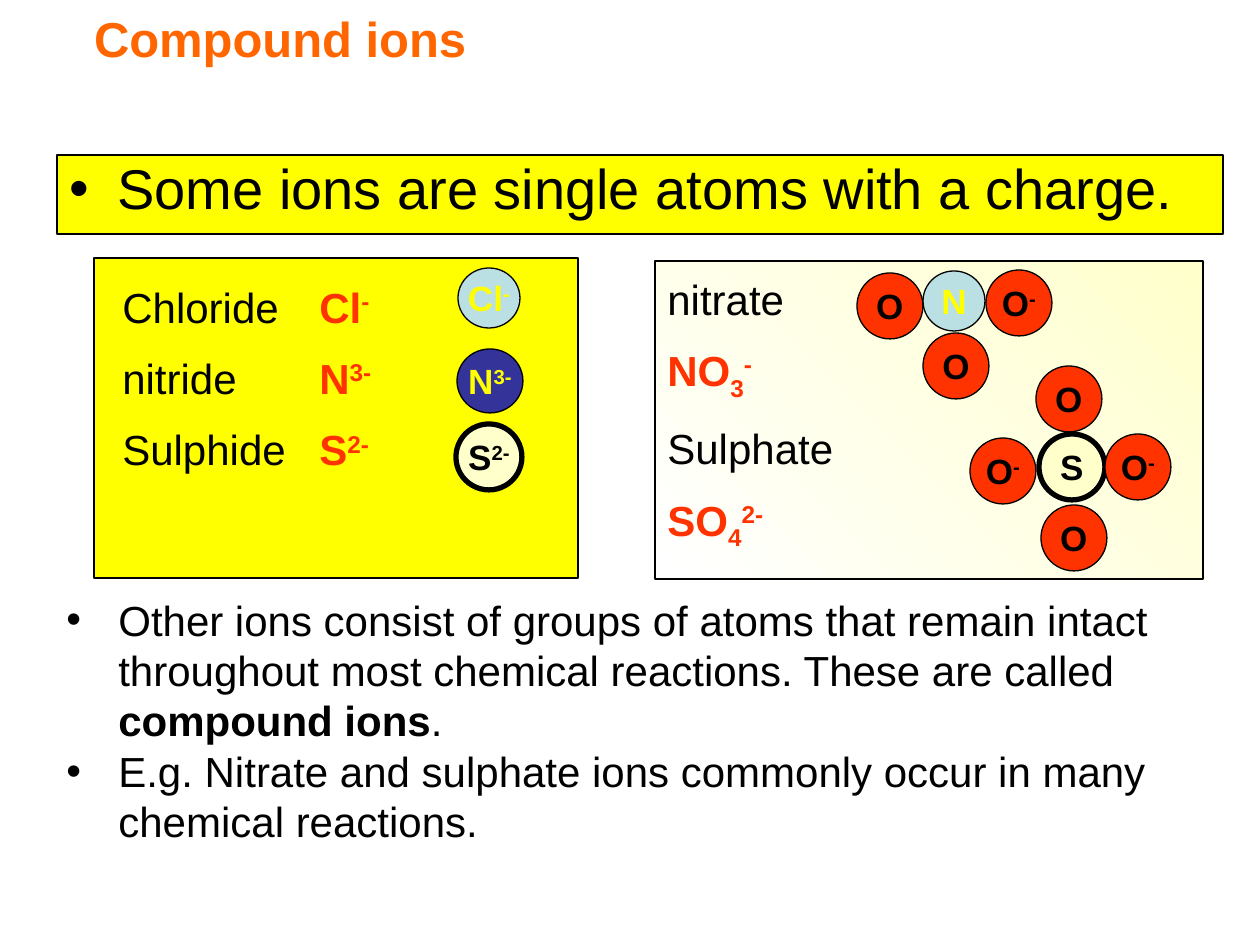
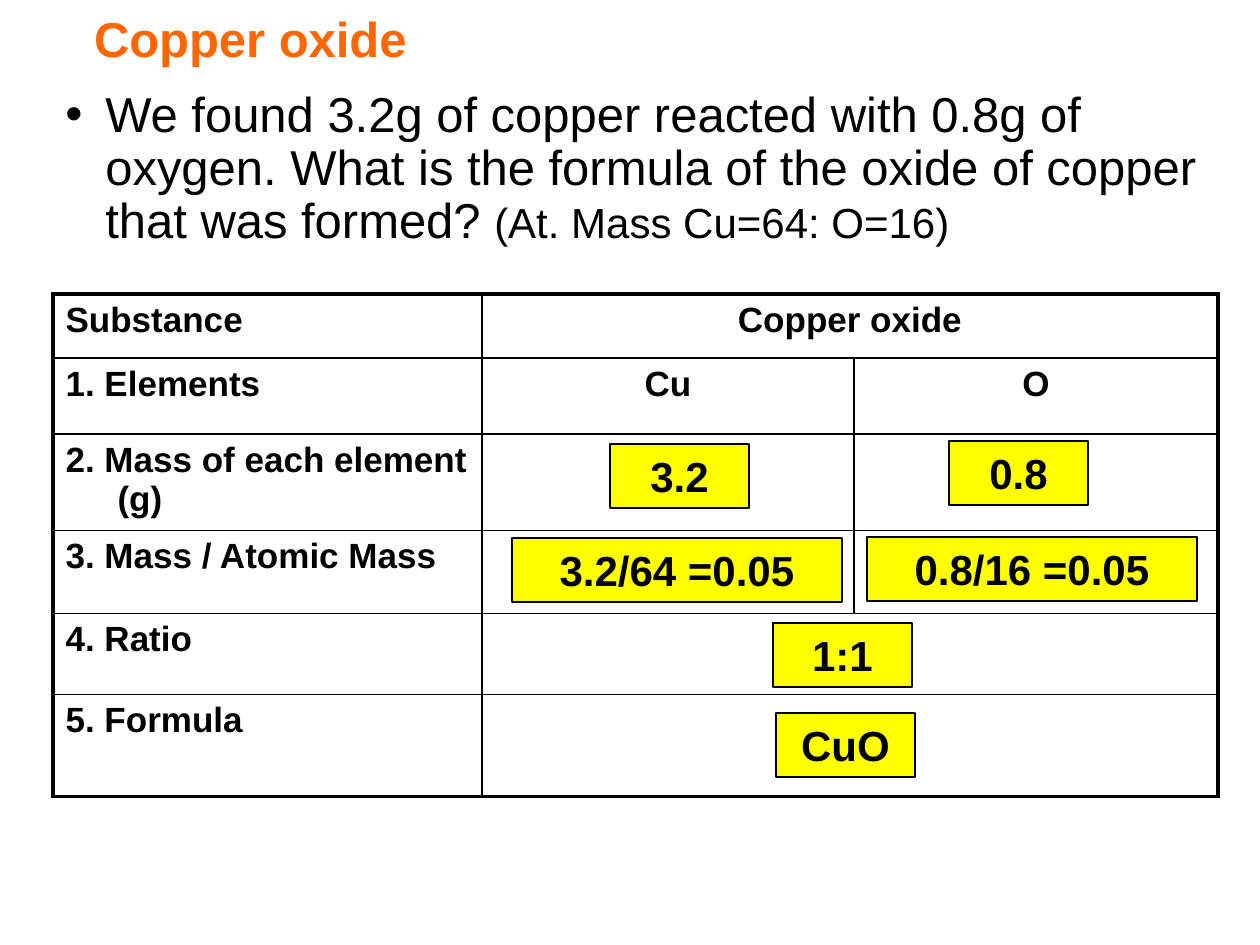
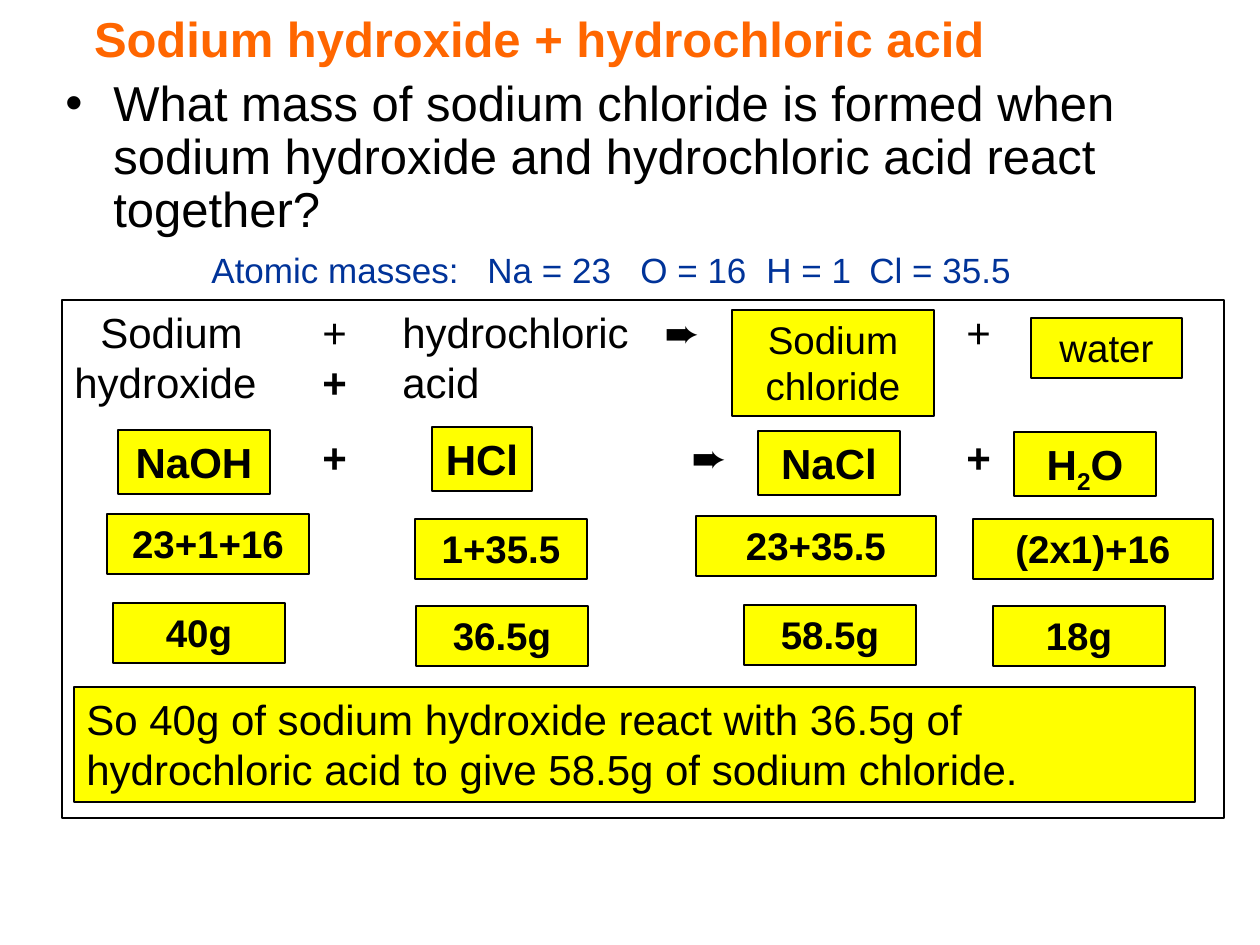
import pptx
import pptx.util
import pptx.dml.color
import pptx.enum.shapes
import pptx.enum.text
import pptx.oxml.ns
from lxml import etree

RGB = pptx.dml.color.RGBColor
BLACK = RGB(0x00, 0x00, 0x00)
WHITE = RGB(0xFF, 0xFF, 0xFF)
ORANGE = RGB(0xFF, 0x66, 0x00)
YELLOW = RGB(0xFF, 0xFF, 0x00)
CREAM = RGB(0xFF, 0xFF, 0xCC)
RED = RGB(0xFF, 0x33, 0x00)
PALE_BLUE = RGB(0xBB, 0xE0, 0xE3)
INDIGO = RGB(0x33, 0x33, 0x99)
NAVY = RGB(0x00, 0x33, 0x99)

SHAPE = pptx.enum.shapes.MSO_SHAPE
ALIGN = pptx.enum.text.PP_ALIGN
ANCHOR = pptx.enum.text.MSO_ANCHOR
Pt = pptx.util.Pt
FONT = "Arial"
PX_PER_INCH = 126
BASELINES = {"^": "30000", "_": "-25000"}
ATOM = 66


def px(n):
    """Turn pixels into EMU."""
    return round(n * 914400 / PX_PER_INCH)


def sub(parent, tag, **attrs):
    """Append a drawing element to a parent."""
    el = etree.SubElement(parent, pptx.oxml.ns.qn(tag))
    for name, value in attrs.items():
        el.set(name, str(value))
    return el


def write(p, text, size, colour=BLACK, bold=False):
    """Add text to a paragraph: ^ raises, _ lowers and | returns to the line."""
    for mark in "^_|":
        text = text.replace(mark, "~" + mark)
    for piece in filter(None, text.split("~")):
        r = p.add_run()
        r.text = piece.lstrip("^_|")
        r.font.name, r.font.size = FONT, Pt(size)
        r.font.color.rgb, r.font.bold = colour, bold
        if piece[0] in BASELINES:
            r._r.get_or_add_rPr().set("baseline", BASELINES[piece[0]])


def set_indent(p, hang):
    """Give a paragraph a hanging indent."""
    p._p.get_or_add_pPr().set("marL", str(px(hang)))
    p._p.get_or_add_pPr().set("indent", str(-px(hang)))


def set_bullet(p, hang):
    """Give a paragraph a round bullet."""
    set_indent(p, hang)
    sub(p._p.get_or_add_pPr(), "a:buFont", typeface=FONT)
    sub(p._p.get_or_add_pPr(), "a:buChar", char="•")


def set_tabs(p, stops):
    """Set left tab stops in pixels."""
    tabs = sub(p._p.get_or_add_pPr(), "a:tabLst")
    for stop in stops:
        sub(tabs, "a:tab", pos=px(stop), algn="l")


def next_paragraph(tf):
    """Return the empty first paragraph, or a new one."""
    p = tf.paragraphs[0]
    return tf.add_paragraph() if p.runs else p


def add_slide(prs, title):
    """Add a title-only slide with the orange heading."""
    s = prs.slides.add_slide(prs.slide_layouts[5])
    sp = s.shapes.title
    sp.left, sp.top, sp.width, sp.height = px(0), px(2), px(1076), px(72)
    tf = sp.text_frame
    tf.word_wrap, tf.vertical_anchor = True, ANCHOR.MIDDLE
    tf.margin_left = px(94)
    p = tf.paragraphs[0]
    p.alignment = ALIGN.LEFT
    write(p, title, 28, ORANGE, True)
    return s


def add_text(s, x, y, w, h):
    """Add a wrapping text box and return its frame."""
    tf = s.shapes.add_textbox(px(x), px(y), px(w), px(h)).text_frame
    tf.word_wrap = True
    return tf


def add_block(s, x, y, w, h, fill=YELLOW, kind=SHAPE.RECTANGLE, line=0.75):
    """Add a filled, outlined shape."""
    sp = s.shapes.add_shape(kind, px(x), px(y), px(w), px(h))
    sp.shadow.inherit = False
    sp.fill.solid()
    sp.fill.fore_color.rgb = fill
    sp.line.color.rgb, sp.line.width = BLACK, Pt(line)
    tf = sp.text_frame
    tf.word_wrap, tf.vertical_anchor = True, ANCHOR.TOP
    tf.paragraphs[0].alignment = ALIGN.LEFT
    return sp


def add_answer(s, text, x, y, w, h=64, size=24, bold=True):
    """Add a yellow box with a centred answer."""
    p = add_block(s, x, y, w, h).text_frame.paragraphs[0]
    p.alignment = ALIGN.CENTER
    write(p, text, size, BLACK, bold)


def add_atom(s, text, x, y, fill=RED, colour=BLACK, w=ATOM, h=ATOM, line=0.75):
    """Add a round atom or ion with its symbol."""
    tf = add_block(s, x, y, w, h, fill, SHAPE.OVAL, line).text_frame
    tf.word_wrap, tf.vertical_anchor = False, ANCHOR.MIDDLE
    tf.paragraphs[0].alignment = ALIGN.CENTER
    write(tf.paragraphs[0], text, 20, colour, True)


def add_question(s, y, h, hang, parts):
    """Add a bulleted question made of text and size pairs."""
    p = add_text(s, 53, y, 1164, h).paragraphs[0]
    set_bullet(p, hang)
    p.line_spacing = 0.9
    for text, size in parts:
        write(p, text, size)


def set_borders(cell, outer):
    """Draw cell borders, thick on the sides named in outer."""
    tcPr = cell._tc.get_or_add_tcPr()
    for side in "RTB" if cell.is_spanned else "LRTB":
        width = Pt(2.25 if side in outer else 1)
        ln = sub(tcPr, "a:ln" + side, w=width)
        sub(sub(ln, "a:solidFill"), "a:srgbClr", val=BLACK)
    cell.fill.solid()
    cell.fill.fore_color.rgb = WHITE


def add_formula_table(s, x, y, widths, heights, rows):
    """Add the working table; a row of two entries merges its last cells."""
    tbl = s.shapes.add_table(len(rows), len(widths), px(x), px(y),
                             px(sum(widths)), px(sum(heights))).table
    tbl.first_row = tbl.horz_banding = False
    for col, width in zip(tbl.columns, widths):
        col.width = px(width)
    last_row, last_col = len(rows) - 1, len(widths) - 1
    for i, (row, height) in enumerate(zip(rows, heights)):
        tbl.rows[i].height = px(height)
        if len(row) == 2:
            tbl.cell(i, 1).merge(tbl.cell(i, last_col))
        for j, text in enumerate(row):
            p = tbl.cell(i, j).text_frame.paragraphs[0]
            if j:
                p.alignment = ALIGN.CENTER
            else:
                set_indent(p, 52)
            write(p, text, 20, BLACK, True)
        for j in range(len(widths)):
            cell = tbl.cell(i, j)
            right = j + (cell.span_width if cell.is_merge_origin else 1) - 1
            edges = {"L": j == 0, "R": right == last_col,
                     "T": i == 0, "B": i == last_row}
            set_borders(cell, [side for side, on in edges.items() if on])


def build_ions(prs):
    """Build the slide on single and compound ions."""
    s = add_slide(prs, "Compound ions")
    p = add_block(s, 57, 155, 1166, 79).text_frame.paragraphs[0]
    set_bullet(p, 48)
    p.line_spacing = 0.9
    write(p, "Some ions are single atoms with a charge.", 32)

    tf = add_text(s, 54, 588, 1149, 265)
    for parts in (
        [("Other ions consist of groups of atoms that remain intact throughout "
          "most chemical reactions. These are called ", False),
         ("compound ions", True), (".", False)],
        [("E.g. Nitrate and sulphate ions commonly occur in many chemical "
          "reactions.", False)],
    ):
        p = next_paragraph(tf)
        set_bullet(p, 52)
        for text, bold in parts:
            write(p, text, 24, BLACK, bold)

    add_block(s, 94, 258, 484, 320)
    tf = add_text(s, 110, 275, 326, 214)
    for name, symbol in (("Chloride", "Cl^-"), ("nitride", "N^3-"),
                         ("Sulphide", "S^2-")):
        p = next_paragraph(tf)
        set_tabs(p, [197])
        p.space_before = Pt(12 if p is not tf.paragraphs[0] and len(tf.paragraphs) > 1 else 0)
        write(p, name + "\t", 24)
        write(p, symbol, 24, RED, True)
    add_atom(s, "Cl^-", 458, 268, PALE_BLUE, YELLOW, 62, 60)
    add_atom(s, "N^3-", 457, 349, INDIGO, YELLOW, ATOM, 64)
    add_atom(s, "S^2-", 456, 424, CREAM, line=3)

    panel = add_block(s, 655, 261, 548, 318)
    panel.fill.gradient()
    panel.fill.gradient_angle = 45
    for stop, colour in zip(panel.fill.gradient_stops, (WHITE, CREAM)):
        stop.color.rgb = colour
    tf = add_text(s, 655, 267, 218, 290)
    for text, colour in (("nitrate", BLACK), ("NO_3^-", RED),
                         ("Sulphate", BLACK), ("SO_4^2-", RED)):
        p = next_paragraph(tf)
        p.space_before = Pt(12 if len(tf.paragraphs) > 1 else 0)
        write(p, text, 24, colour, colour == RED)
    add_atom(s, "N", 923, 271, PALE_BLUE, YELLOW, 62, 60)
    add_atom(s, "S", 1039, 434, CREAM, line=3)
    for text, x, y in (("O", 857, 273), ("O^-", 986, 270), ("O", 923, 333),
                       ("O", 1036, 366), ("O^-", 1105, 434),
                       ("O^-", 970, 438), ("O", 1041, 505)):
        add_atom(s, text, x, y)


def build_copper_oxide(prs):
    """Build the slide that works out a formula."""
    s = add_slide(prs, "Copper oxide")
    add_question(s, 84, 164, 40, [
        ("We found 3.2g of copper reacted with 0.8g of oxygen. What is the "
         "formula of the oxide of copper that was formed? ", 28),
        ("(At. Mass Cu=64: O=16)", 24)])
    add_formula_table(s, 53, 294, [429, 372, 364], [64, 76, 96, 83, 81, 102], [
        ["Substance", "Copper oxide"],
        ["1. Elements", "Cu", "O"],
        ["2. Mass of each element (g)", "", ""],
        ["3. Mass / Atomic Mass", "", ""],
        ["4. Ratio", ""],
        ["5. Formula", ""]])
    for text, x, y, w in (("3.2", 610, 444, 139), ("0.8", 949, 441, 139),
                          ("3.2/64 =0.05", 512, 538, 330),
                          ("0.8/16 =0.05", 867, 537, 330),
                          ("1:1", 773, 623, 139), ("CuO", 776, 713, 139)):
        add_answer(s, text, x, y, w)


def build_reaction(prs):
    """Build the slide on reacting masses."""
    s = add_slide(prs, "Sodium hydroxide + hydrochloric acid")
    tf = add_block(s, 62, 300, 1162, 518, WHITE).text_frame
    for parts, stops, gap in (
        ([("\tSodium\t+\thydrochloric\t➨\t+", False)], [26, 248, 328, 590, 892], 0),
        ([("hydroxide", False), ("\t+\t", True), ("acid", False)], [248, 328], 0),
        ([("\t+\t", True), ("➨", False), ("\t+", True)], [248, 617, 892], 14),
    ):
        p = next_paragraph(tf)
        p.alignment = ALIGN.LEFT
        set_tabs(p, stops)
        p.space_before = Pt(gap)
        for text, bold in parts:
            write(p, text, 24, BLACK, bold)

    p = add_text(s, 199, 242, 860, 54).paragraphs[0]
    set_tabs(p, [276, 429, 555, 658])
    write(p, "Atomic masses:\tNa = 23\tO = 16\tH = 1\tCl = 35.5", 20, NAVY)
    add_question(s, 73, 125, 48, [
        ("What mass of sodium chloride is formed when sodium hydroxide and "
         "hydrochloric acid react together?", 28)])

    add_answer(s, "Sodium chloride", 732, 310, 202, 106, 22, False)
    add_answer(s, "water", 1031, 318, 151, 60, 22, False)
    for text, x, y, w in (("NaOH", 118, 430, 152), ("HCl", 432, 427, 100),
                          ("NaCl", 758, 431, 142), ("H_2|O", 1014, 432, 142)):
        add_answer(s, text, x, y, w)
    for text, x, y, w in (("23+1+16", 107, 514, 202), ("1+35.5", 415, 519, 172),
                          ("23+35.5", 696, 516, 240), ("(2x1)+16", 973, 519, 240),
                          ("40g", 113, 603, 172), ("36.5g", 416, 606, 172),
                          ("58.5g", 744, 605, 172), ("18g", 993, 606, 172)):
        add_answer(s, text, x, y, w, 60, 22)
    p = add_block(s, 74, 687, 1121, 115).text_frame.paragraphs[0]
    write(p, "So 40g of sodium hydroxide react with 36.5g of hydrochloric acid "
             "to give 58.5g of sodium chloride.", 24)


def main():
    """Build and save the presentation."""
    prs = pptx.Presentation()
    prs.slide_width, prs.slide_height = px(1260), px(945)
    build_ions(prs)
    build_copper_oxide(prs)
    build_reaction(prs)
    prs.save("out.pptx")


if __name__ == "__main__":
    main()
